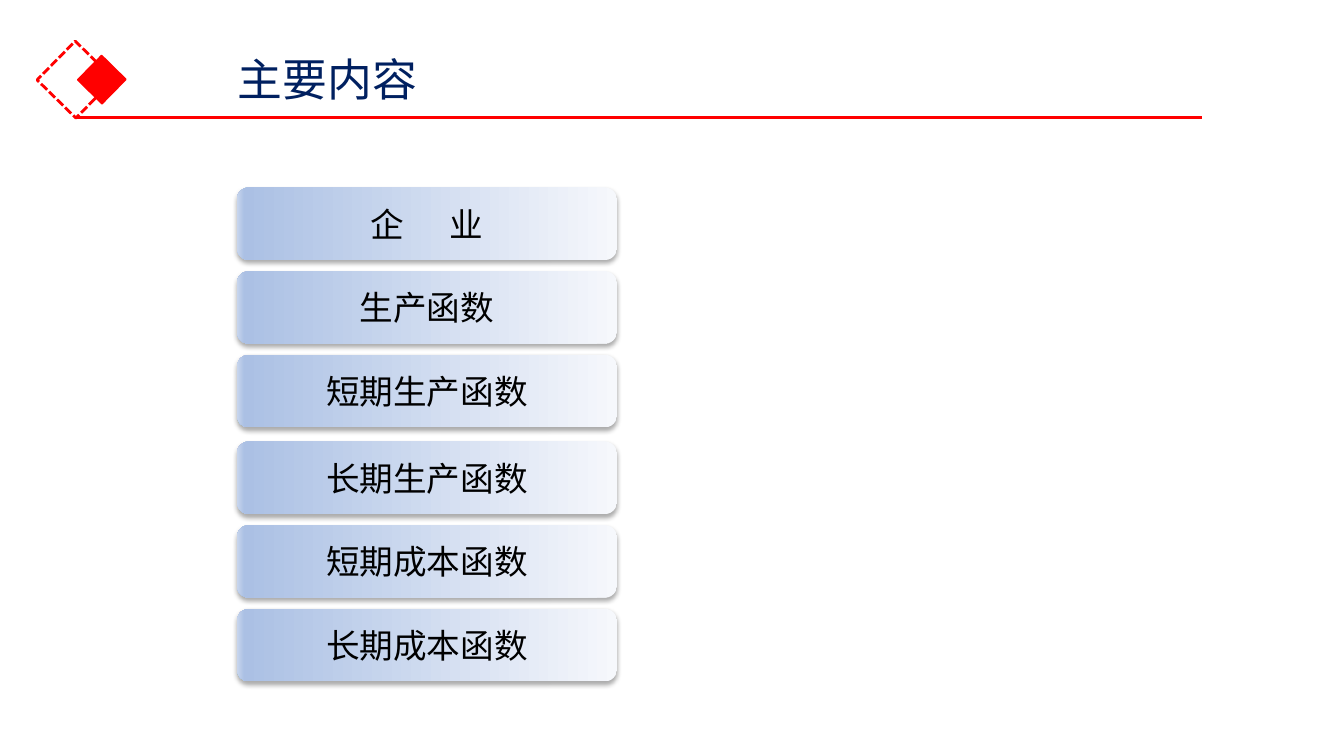
from lxml import etree
from pptx import Presentation
from pptx import util as u
from pptx.dml.color import RGBColor
from pptx.enum import dml, shapes, text
from pptx.oxml.ns import qn

PX = u.Inches(1) // 100
FONT = "Noto Sans CJK SC"
RED = RGBColor(0xFF, 0x00, 0x00)
NAVY = RGBColor(0x00, 0x20, 0x60)
BLACK = RGBColor(0x00, 0x00, 0x00)
PALE = RGBColor(0xF6, 0xF8, 0xFC)
BLUE = RGBColor(0xAB, 0xC0, 0xE4)
EDGE = RGBColor(0xC7, 0xD5, 0xED)
TOPIC_STOPS = ((0, PALE), (98, BLUE), (100, EDGE))
TOPICS = ("企 业", "生产函数", "短期生产函数",
          "长期生产函数", "短期成本函数", "长期成本函数")
GROUP_SIZE = 3
TOPIC_TOP, TOPIC_PITCH, GROUP_PITCH = 186, 83, 252


def box(left, top, width, height):
    return [n * PX for n in (left, top, width, height)]


def add_color(parent, color, alpha=None):
    node = etree.SubElement(parent, qn("a:srgbClr"), val=str(color))
    if alpha is not None:
        etree.SubElement(node, qn("a:alpha"), val=str(alpha * 1000))


def write(frame, wording, *, size, color, align, gap=0):
    frame.word_wrap = True
    line = frame.paragraphs[0]
    line.alignment = align
    first, space, rest = wording.partition(" ")
    for part in filter(None, (first, space, rest)):
        run = line.add_run()
        run.text = part
        run.font.size = u.Pt(size)
        run.font.name = FONT
        run.font.color.rgb = color
        props = run.font._element
        etree.SubElement(props, qn("a:ea"), typeface=FONT)
        if part == " ":
            props.set("spc", str(gap * 100))


def add_diamond(slide, left, top, side, *, line_width, fill=None, dash=None):
    diamond = slide.shapes.add_shape(
        shapes.MSO_SHAPE.RECTANGLE, *box(left, top, side, side))
    diamond.rotation = 314.5
    diamond.shadow.inherit = False
    if fill is None:
        diamond.fill.background()
    else:
        diamond.fill.solid()
        diamond.fill.fore_color.rgb = fill
    diamond.line.color.rgb = RED
    diamond.line.width = u.Pt(line_width)
    if dash is not None:
        diamond.line.dash_style = dash


def add_rule(slide, left, right, y):
    rule = slide.shapes.add_connector(
        shapes.MSO_CONNECTOR.STRAIGHT, left * PX, y * PX, right * PX, y * PX)
    rule.line.color.rgb = RED
    rule.line.width = u.Pt(2.25)
    etree.SubElement(rule._element.spPr, qn("a:effectLst"))


def add_topic(slide, top, wording):
    topic = slide.shapes.add_shape(
        shapes.MSO_SHAPE.ROUNDED_RECTANGLE, *box(235, top, 377, 72))
    topic.line.fill.background()
    topic.fill.gradient()
    topic.fill.gradient_angle = 180
    properties = topic._element.spPr
    stops = properties.find(qn("a:gradFill")).find(qn("a:gsLst"))
    for stop in list(stops):
        stops.remove(stop)
    for position, color in TOPIC_STOPS:
        stop = etree.SubElement(stops, qn("a:gs"), pos=str(position * 1000))
        add_color(stop, color)
    topic.shadow.inherit = False
    shadow = etree.SubElement(
        properties.find(qn("a:effectLst")), qn("a:outerShdw"),
        blurRad=str(u.Pt(3.5)), dist=str(u.Pt(2.2)), dir="5400000",
        rotWithShape="0")
    add_color(shadow, BLACK, alpha=32)
    topic.text_frame.vertical_anchor = text.MSO_ANCHOR.MIDDLE
    write(topic.text_frame, wording, size=24, color=BLACK,
          align=text.PP_ALIGN.CENTER, gap=27)


def add_title(slide, wording):
    title = slide.shapes.add_textbox(*box(226, 46, 496, 64))
    write(title.text_frame, wording, size=32, color=NAVY,
          align=text.PP_ALIGN.LEFT)
    title.text_frame.auto_size = text.MSO_AUTO_SIZE.SHAPE_TO_FIT_TEXT


def main():
    deck = Presentation()
    deck.slide_width, deck.slide_height = 1333 * PX, 750 * PX
    slide = deck.slides.add_slide(deck.slide_layouts[6])
    add_diamond(slide, 48, 52, 54, line_width=2,
                dash=dml.MSO_LINE.SQUARE_DOT)
    add_diamond(slide, 84, 62, 34, line_width=1, fill=RED)
    add_rule(slide, 75, 1192, 117)
    for index, wording in enumerate(TOPICS):
        group, row = divmod(index, GROUP_SIZE)
        top = TOPIC_TOP + group * GROUP_PITCH + row * TOPIC_PITCH
        add_topic(slide, top, wording)
    add_title(slide, "主要内容")
    deck.save("out.pptx")


if __name__ == "__main__":
    main()
